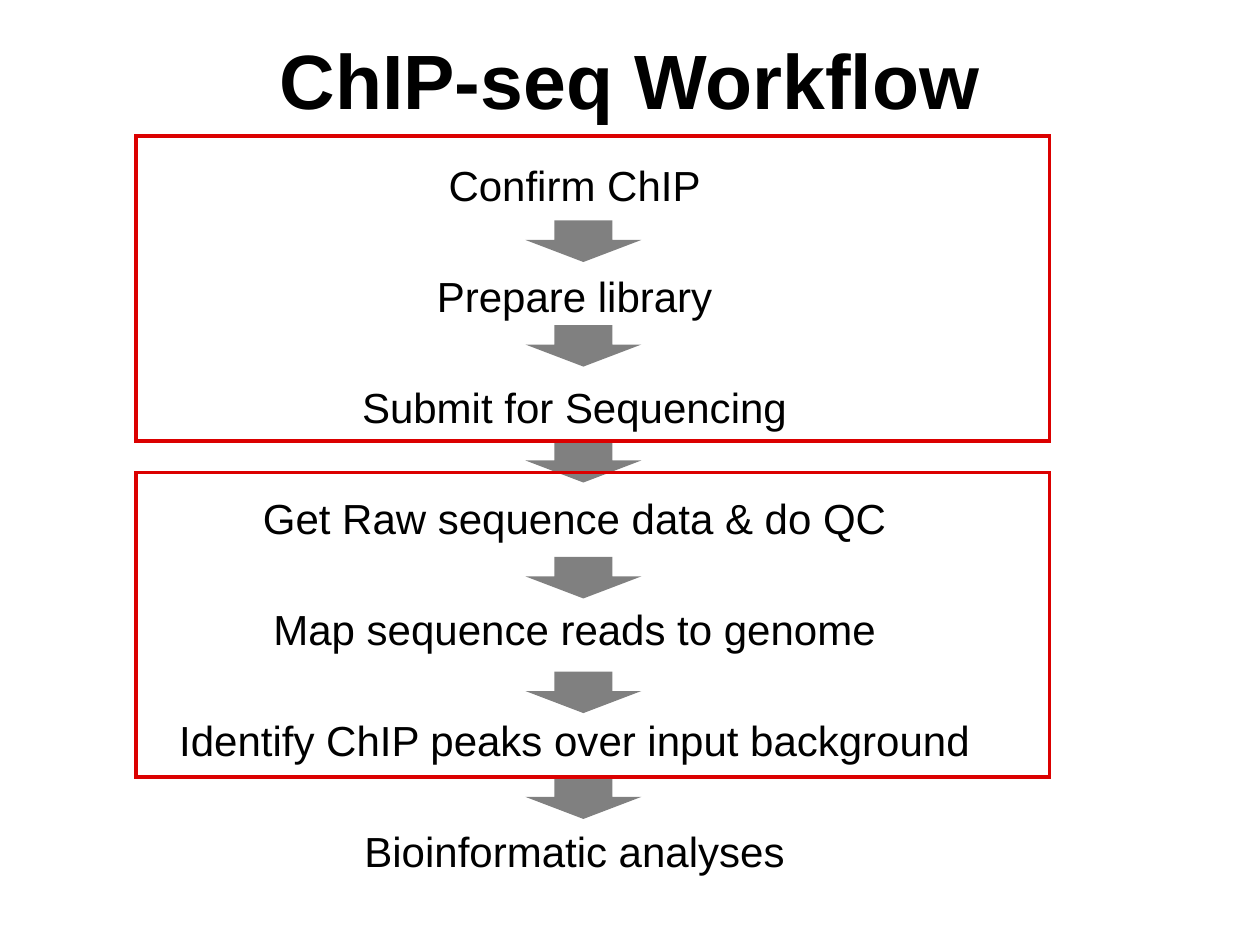
from lxml import etree
from pptx import Presentation
from pptx import util as u
from pptx.dml.color import RGBColor
from pptx.enum import shapes, text
from pptx.oxml import ns

BLACK = RGBColor(0x00, 0x00, 0x00)
GRAY = RGBColor(0x80, 0x80, 0x80)
RED = RGBColor(0xDB, 0x00, 0x00)
MIDDLE = 4.56
STEPS = [
    ("Confirm ChIP", 2.22),
    ("Prepare library", 2.42),
    ("Submit for Sequencing", 3.6),
    ("Get Raw sequence data & do QC", 5.18),
    ("Map sequence reads to genome", 5.02),
    ("Identify ChIP peaks over input background", 6.52),
    ("Bioinformatic analyses", 3.57),
]
ARROWS = [1.75, 2.58, 3.5, 4.42, 5.33, 6.17]
FRAMES = [1.08, 3.75]


def place(box, left, top, width, height):
    box.left, box.top = u.Inches(left), u.Inches(top)
    box.width, box.height = u.Inches(width), u.Inches(height)


def write(frame, words, size=24, bold=False, wrap=False,
          anchor=text.MSO_ANCHOR.TOP, fit=text.MSO_AUTO_SIZE.NONE):
    frame.word_wrap = wrap
    frame.auto_size = fit
    frame.vertical_anchor = anchor
    line = frame.paragraphs[0]
    line.alignment = text.PP_ALIGN.CENTER
    run = line.add_run()
    run.text = words
    font = run.font
    font.name, font.size, font.bold = "Arial", u.Pt(size), bold
    font.color.rgb = BLACK


def add_title(slide, words):
    title = slide.shapes.title
    place(title, 0.5, 0, 9, 1.25)
    write(title.text_frame, words, size=44, bold=True, wrap=True,
          anchor=text.MSO_ANCHOR.MIDDLE)


def add_step(slide, words, top, width):
    box = slide.shapes.add_textbox(
        u.Inches(MIDDLE - width / 2), u.Inches(top),
        u.Inches(width), u.Inches(0.5))
    write(box.text_frame, words, fit=text.MSO_AUTO_SIZE.SHAPE_TO_FIT_TEXT)


def add_arrow(slide, top):
    arrow = slide.shapes.add_shape(
        shapes.MSO_SHAPE.DOWN_ARROW, u.Inches(4.17), u.Inches(top),
        u.Inches(0.92), u.Inches(0.33))
    arrow.shadow.inherit = False
    arrow.adjustments[0] = 0.5
    arrow.adjustments[1] = 0.53
    arrow.fill.solid()
    arrow.fill.fore_color.rgb = GRAY
    arrow.line.fill.background()


def add_frame(slide, top):
    frame = slide.shapes.add_shape(
        shapes.MSO_SHAPE.RECTANGLE, u.Inches(1.08), u.Inches(top),
        u.Inches(7.25), u.Inches(2.42))
    frame.shadow.inherit = False
    frame.fill.background()
    frame.line.color.rgb = RED
    frame.line.width = u.Pt(2.25)
    edge = frame.element.spPr.find(ns.qn("a:ln"))
    etree.SubElement(edge, ns.qn("a:miter"), lim="800000")


def main():
    deck = Presentation()
    deck.slide_width, deck.slide_height = u.Inches(10), u.Inches(7.5)
    slide = deck.slides.add_slide(deck.slide_layouts[5])
    add_title(slide, "ChIP-seq Workflow")
    for row, (words, width) in enumerate(STEPS):
        add_step(slide, words, 1.22 + 0.88 * row, width)
    for top in ARROWS:
        add_arrow(slide, top)
    for top in FRAMES:
        add_frame(slide, top)
    deck.save("out.pptx")


if __name__ == "__main__":
    main()
